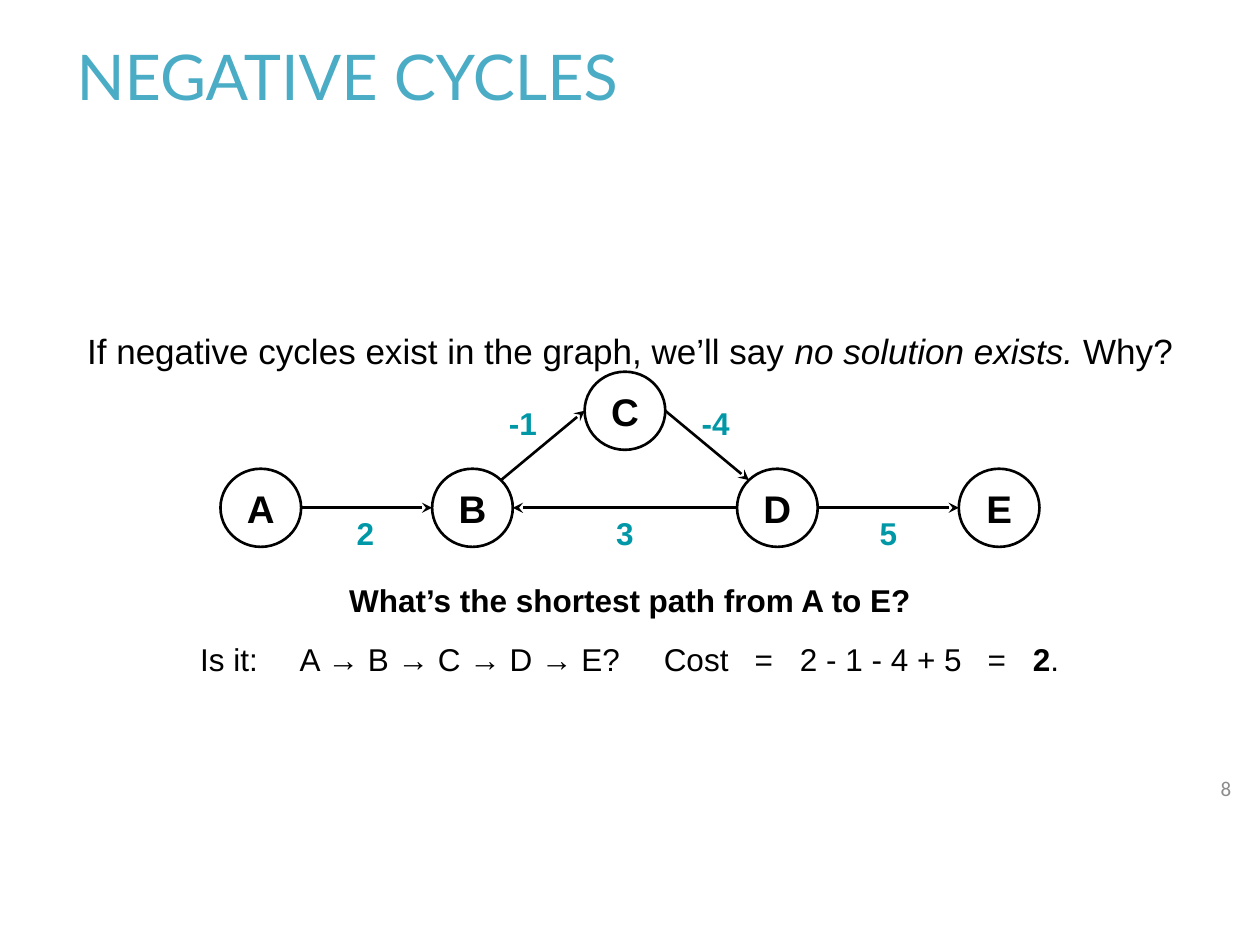
from math import cos, sin, radians
from pptx import Presentation
from pptx.dml.color import RGBColor as Rgb
from pptx.enum.shapes import MSO_CONNECTOR as Link, MSO_SHAPE as Form
from pptx.enum.text import MSO_ANCHOR as Anchor, PP_ALIGN as Align
from pptx.oxml.ns import qn
from pptx.util import Pt
from lxml.etree import SubElement as Sub

SCALE = 9144  # EMU per px, 100 px to the inch
HUE = {"ink": "000000", "paper": "FFFFFF", "title": "4BACC6",
       "cost": "0097A7", "page": "8C8C8C"}
SIDE = {"left": Align.LEFT, "mid": Align.CENTER, "right": Align.RIGHT}
NODE = (64, 62)


def px(n):
    return round(n * SCALE)


def write(shape, runs, size=18, font="Arial", hue="ink", bold=False,
          side="mid", anchor=Anchor.TOP, pad=10, lead=None, tabs=()):
    """Fill a shape with one paragraph; runs are (text, style) pairs."""
    frame = shape.text_frame
    frame.word_wrap = True
    frame.vertical_anchor = anchor
    frame.margin_left = frame.margin_right = px(pad)
    frame.margin_top = frame.margin_bottom = px(10)
    para = frame.paragraphs[0]
    para.alignment = SIDE[side]
    if lead:
        para.line_spacing = lead
    if tabs:
        stops = Sub(para._p.get_or_add_pPr(), qn("a:tabLst"))
        for stop in tabs:
            Sub(stops, qn("a:tab"), pos=str(px(stop)), algn="l")
    if isinstance(runs, str):
        runs = [(runs, "")]
    for text, style in runs:
        run = para.add_run()
        run.text = text
        run.font.name, run.font.size = font, Pt(size)
        run.font.bold = bold or style == "bold"
        run.font.italic = style == "italic"
        run.font.color.rgb = Rgb.from_string(HUE[hue])


def label(slide, box, runs, **look):
    write(slide.shapes.add_textbox(*map(px, box)), runs, **look)


def node(slide, x, y, name):
    wide, high = NODE
    oval = slide.shapes.add_shape(Form.OVAL, px(x - wide / 2), px(y - high / 2),
                                  px(wide), px(high))
    oval.shadow.inherit = False
    oval.fill.solid()
    oval.fill.fore_color.rgb = Rgb.from_string(HUE["paper"])
    oval.line.color.rgb = Rgb.from_string(HUE["ink"])
    oval.line.width = Pt(1.5)
    write(oval, name, size=22, bold=True, anchor=Anchor.MIDDLE, pad=0)


def rim(spot, angle):
    """Point on a node's outline, angle counted from the right, upwards."""
    turn = radians(angle)
    return (spot[0] + NODE[0] / 2 * cos(turn),
            spot[1] - NODE[1] / 2 * sin(turn))


def arrow(slide, start, end):
    line = slide.shapes.add_connector(Link.STRAIGHT, *map(px, start + end))
    line.line.color.rgb = Rgb.from_string(HUE["ink"])
    line.line.width = Pt(1.5)
    props = line._element.spPr
    Sub(props.find(qn("a:ln")), qn("a:tailEnd"), type="stealth")
    Sub(props, qn("a:effectLst"))


def graph(slide, left, top):
    # Node centres
    base, peak = top + 108, top + 31
    spots = {"A": (left + 32, base), "B": (left + 200, base),
             "C": (left + 321, peak), "D": (left + 442, base),
             "E": (left + 618, base)}
    for name, (x, y) in spots.items():
        node(slide, x, y, name)

    # Edges: from, angle, to, angle, cost, cost centre
    low, high = top + 121, top + 34
    edges = [("A", 0, "B", 180, "2", (left + 115, low)),
             ("B", 45, "C", 180, "-1", (left + 240, high)),
             ("C", 0, "D", 135, "-4", (left + 393, high)),
             ("D", 0, "E", 180, "5", (left + 530, low)),
             ("D", 180, "B", 0, "3", (left + 321, low))]
    for tail, out, head, into, cost, (x, y) in edges:
        arrow(slide, rim(spots[tail], out), rim(spots[head], into))
        label(slide, (x - 21, y - 18, 42, 36), cost,
              hue="cost", bold=True, pad=0)


def question(slide, left, top, wide):
    label(slide, (left, top, wide, 48),
          "What’s the shortest path from A to E?", bold=True)
    label(slide, (left + 115, top + 47, wide - 115, 48),
          [("Is it:\tA → B → C → D → E?\tCost\t=\t2 - 1 - 4 + 5\t=\t", ""),
           ("2", "bold"), (".", "")],
          side="left", tabs=(79, 368, 440, 476, 625, 661))


def main():
    deck = Presentation()
    deck.slide_width, deck.slide_height = px(1000), px(750)
    slide = deck.slides.add_slide(deck.slide_layouts[6])

    # Title and statement
    label(slide, (51, 24, 932, 71), "NEGATIVE CYCLES", size=36, font="Lato",
          hue="title", side="left", anchor=Anchor.MIDDLE)
    label(slide, (34, 218, 932, 57),
          [("If negative cycles exist in the graph, we’ll say ", ""),
           ("no solution exists.", "italic"), (" Why?", "")],
          size=20, lead=2.0)

    # Graph, question and page number
    graph(slide, 175, 295)
    question(slide, 34, 451, 932)
    label(slide, (927, 604, 60, 43), "8", size=12, font="Calibri",
          hue="page", side="right", anchor=Anchor.MIDDLE)
    deck.save("out.pptx")


if __name__ == "__main__":
    main()
